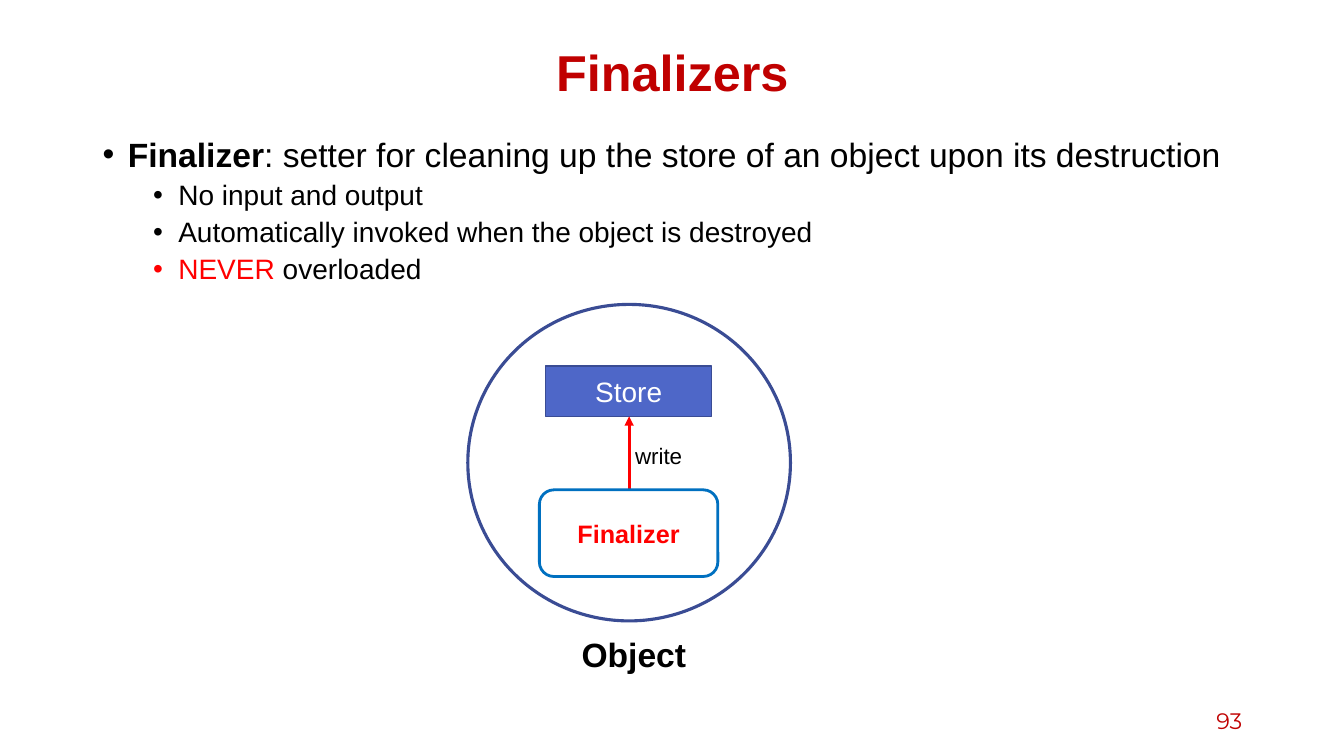
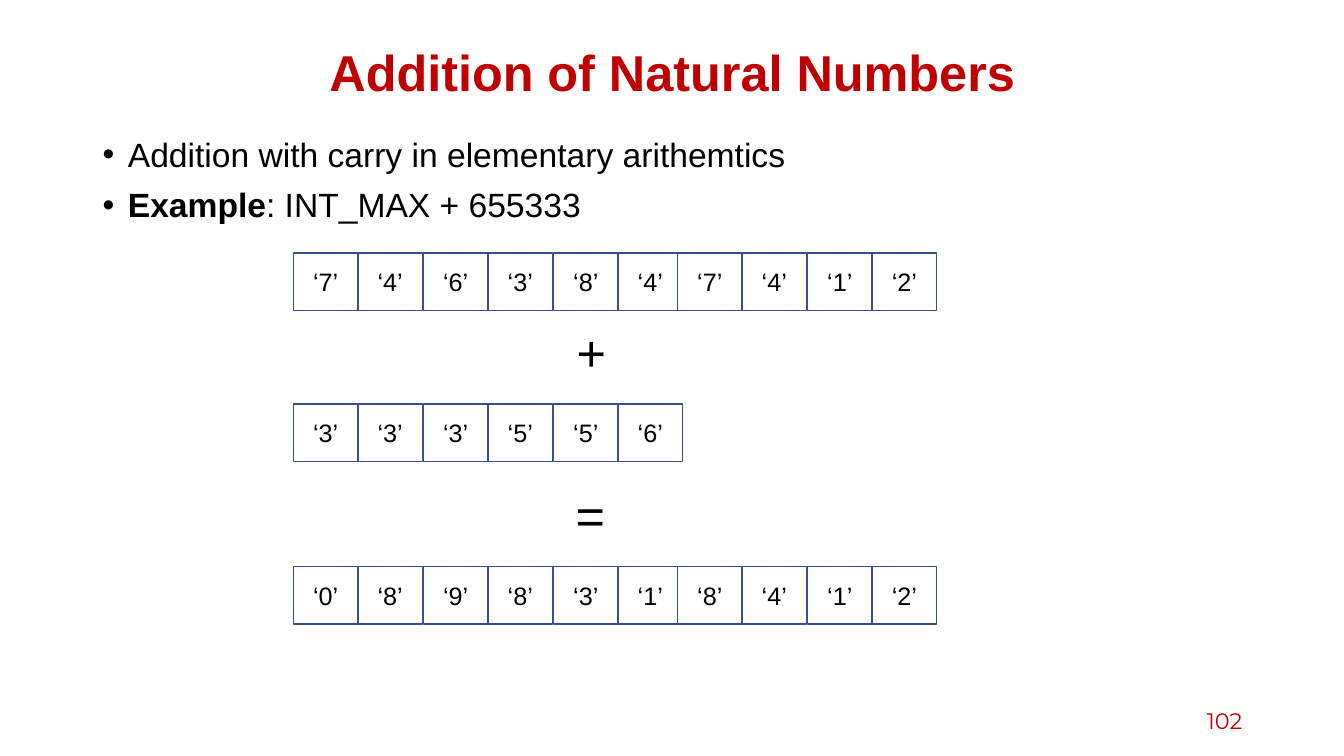
from typing import NamedTuple

from pptx import Presentation
from pptx import util as u
from pptx.dml.color import RGBColor
from pptx.enum import shapes, text
from pptx.oxml.ns import qn
from lxml import etree

PX = 9144  # 100 px to the inch
RED = RGBColor(0xC0, 0x00, 0x00)
BRIGHT = RGBColor(0xFF, 0x00, 0x00)
BLACK = RGBColor(0x00, 0x00, 0x00)
WHITE = RGBColor(0xFF, 0xFF, 0xFF)
BLUE = RGBColor(0x4E, 0x67, 0xC8)
NAVY = RGBColor(0x3A, 0x4C, 0x94)
SKY = RGBColor(0x00, 0x70, 0xC0)

LEFT, MID, RIGHT = text.PP_ALIGN.LEFT, text.PP_ALIGN.CENTER, text.PP_ALIGN.RIGHT
TOP, CENTRE = text.MSO_ANCHOR.TOP, text.MSO_ANCHOR.MIDDLE
RECT = shapes.MSO_SHAPE.RECTANGLE
ROUND = shapes.MSO_SHAPE.ROUNDED_RECTANGLE
OVAL = shapes.MSO_SHAPE.OVAL


class Box(NamedTuple):
    x: int
    y: int
    w: int
    h: int

    def emu(self) -> list[int]:
        return [v * PX for v in self]


class Run(NamedTuple):
    text: str
    bold: bool = False
    color: RGBColor = BLACK


class Item(NamedTuple):
    """A bulleted line of the body."""
    runs: list[Run]
    level: int = 0


class Level(NamedTuple):
    size: int
    left: int
    space: int


class Digits(NamedTuple):
    """A row of cells; each block starts at its own x."""
    y: int
    blocks: dict[int, str]


LEVELS = [Level(24, 25, 10), Level(20, 75, 5)]
TITLE = Box(92, 40, 1150, 70)
BODY = Box(92, 132, 1150, 551)
PAGE = Box(942, 695, 300, 40)
CELL_W, CELL_H, STEP = 64, 57, 64.4


def add_run(para, run: Run, size: int, face: str = "Arial") -> None:
    part = para.add_run()
    part.text = run.text
    font = part.font
    font.name, font.size, font.bold = face, u.Pt(size), run.bold
    font.color.rgb = run.color


def write(frame, words: str, *, size: int, color: RGBColor = BLACK, bold: bool = False,
          face: str = "Arial", align=LEFT, anchor=TOP, spacing: float = 1.0) -> None:
    frame.word_wrap = True
    frame.vertical_anchor = anchor
    para = frame.paragraphs[0]
    para.alignment, para.line_spacing = align, spacing
    add_run(para, Run(words, bold, color), size, face)


def label(slide, box: Box, words: str, **style) -> None:
    write(slide.shapes.add_textbox(*box.emu()).text_frame, words, **style)


def draw(slide, kind, box: Box, line: RGBColor, width: float, fill: RGBColor | None = None):
    """Add a preset shape and return its text frame."""
    shape = slide.shapes.add_shape(kind, *box.emu())
    shape.shadow.inherit = False
    if fill is None:
        shape.fill.background()
    else:
        shape.fill.solid()
        shape.fill.fore_color.rgb = fill
    shape.line.color.rgb = line
    shape.line.width = u.Pt(width)
    return shape.text_frame


def arrow(slide, x: int, tip: int, base: int) -> None:
    """Add a vertical arrow whose head is at the tip."""
    ends = [v * PX for v in (x, tip, x, base)]
    link = slide.shapes.add_connector(shapes.MSO_CONNECTOR.STRAIGHT, *ends)
    link.line.color.rgb = BRIGHT
    link.line.width = u.Pt(2.25)
    etree.SubElement(link.line._get_or_add_ln(), qn("a:headEnd"), type="triangle")
    etree.SubElement(link._element.spPr, qn("a:effectLst"))


def bullet(para, left: int) -> None:
    props = para._p.get_or_add_pPr()
    props.set("marL", str(left * PX))
    props.set("indent", str(-25 * PX))
    etree.SubElement(props, qn("a:buFont"), typeface="Arial")
    etree.SubElement(props, qn("a:buChar"), char="•")


def body(slide, items: list[Item]) -> None:
    frame = slide.shapes.add_textbox(*BODY.emu()).text_frame
    frame.word_wrap = True
    for i, item in enumerate(items):
        para = frame.add_paragraph() if i else frame.paragraphs[0]
        level = LEVELS[item.level]
        para.level = item.level
        para.line_spacing = 0.9
        if i:
            para.space_before = u.Pt(level.space)
        bullet(para, level.left)
        for run in item.runs:
            add_run(para, run, level.size)


def start(deck, title: str, page: int, items: list[Item]):
    """Add a slide with the parts that all slides share."""
    slide = deck.slides.add_slide(deck.slide_layouts[6])
    label(slide, TITLE, title, size=36, color=RED, bold=True,
          align=MID, anchor=CENTRE, spacing=0.9)
    body(slide, items)
    label(slide, PAGE, str(page), size=16, color=RED, face="Montserrat",
          align=RIGHT, anchor=CENTRE)
    return slide


def final(deck) -> None:
    slide = start(deck, "Finalizers", 93, [
        Item([Run("Finalizer", bold=True),
              Run(": setter for cleaning up the store of an object upon its destruction")]),
        Item([Run("No input and output")], 1),
        Item([Run("Automatically invoked when the object is destroyed")], 1),
        Item([Run("NEVER", color=BRIGHT), Run(" overloaded")], 1),
    ])
    store = draw(slide, RECT, Box(541, 363, 165, 50), NAVY, 1, BLUE)
    write(store, "Store", size=20, color=WHITE, align=MID, anchor=CENTRE)
    draw(slide, OVAL, Box(464, 302, 320, 314), NAVY, 2.25)
    arrow(slide, 624, 413, 486)
    label(slide, Box(567, 624, 130, 50), "Object", size=24, bold=True)
    setter = draw(slide, ROUND, Box(535, 486, 177, 86), SKY, 2)
    write(setter, "Finalizer", size=18, color=BRIGHT, bold=True, align=MID, anchor=CENTRE)
    label(slide, Box(620, 434, 163, 37), "write", size=16)


def cells(slide, row: Digits) -> None:
    for left, digits in row.blocks.items():
        for i, digit in enumerate(digits):
            box = Box(left + round(i * STEP), row.y, CELL_W, CELL_H)
            cell = draw(slide, RECT, box, NAVY, 1, WHITE)
            write(cell, f"‘{digit}’", size=18, align=MID, anchor=CENTRE)


def addition(deck) -> None:
    slide = start(deck, "Addition of Natural Numbers", 102, [
        Item([Run("Addition with carry in elementary arithemtics")]),
        Item([Run("Example", bold=True), Run(": INT_MAX + 655333")]),
    ])
    for row in (Digits(251, {291: "746384", 672: "7412"}),
                Digits(401, {291: "333556"}),
                Digits(562, {291: "089831", 672: "8412"})):
        cells(slide, row)
    for sign, x, y in (("+", 562, 314), ("=", 561, 475)):
        label(slide, Box(x, y, 64, 71), sign, size=36)


def main() -> None:
    deck = Presentation()
    deck.slide_width, deck.slide_height = 1333 * PX, 750 * PX
    final(deck)
    addition(deck)
    deck.save("out.pptx")


if __name__ == "__main__":
    main()
